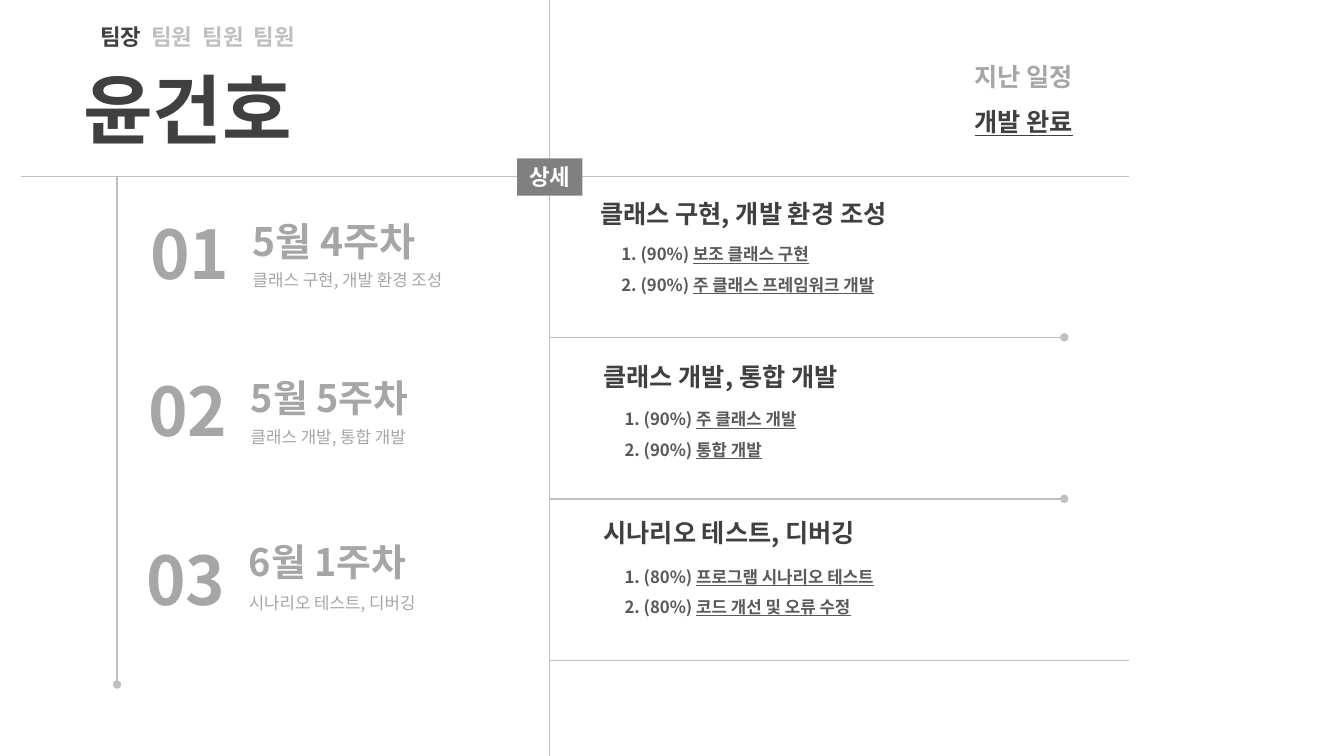
import pptx
import pptx.util
import pptx.dml.color
import pptx.enum.shapes
import pptx.enum.text
import lxml.etree

Cm, Pt = pptx.util.Cm, pptx.util.Pt
ALIGN = pptx.enum.text.PP_ALIGN
MIDDLE = pptx.enum.text.MSO_ANCHOR.MIDDLE
FACE = "Noto Sans CJK KR"
DARK, TEXT, MID, PALE = "404040", "595959", "A6A6A6", "BFBFBF"

WEEKS = [
    ("01", "5월 4주차", 28, "클래스 구현, 개발 환경 조성", 3.45, 5.23, 5.36, 6.68),
    ("02", "5월 5주차", 27, "클래스 개발, 통합 개발", 3.4, 9.19, 9.32, 10.64),
    ("03", "6월 1주차", 27, "시나리오 테스트, 디버깅", 3.35, 13.44, 13.46, 14.81),
]
TASKS = [
    (14.83, 4.88, 5.77, "90%", ["보조 클래스 구현", "주 클래스 프레임워크 개발"]),
    (14.91, 8.97, 9.93, "90%", ["주 클래스 개발", "통합 개발"]),
    (14.91, 12.9, 13.89, "80%", ["프로그램 시나리오 테스트", "코드 개선 및 오류 수정"]),
]


def paint(fill, color):
    """Make a fill one solid colour."""
    fill.solid()
    fill.fore_color.rgb = pptx.dml.color.RGBColor.from_string(color)


def style(para, size, color, bold=True, face=FACE):
    """Set the paragraph font for Latin and Korean text."""
    font = para.font
    font.size, font.bold, font.name = Pt(size), bold, face
    paint(font.fill, color)
    base = para._p.pPr.find(pptx.oxml.ns.qn("a:defRPr"))
    lxml.etree.SubElement(base, pptx.oxml.ns.qn("a:ea"), typeface=face)


def add_text(slide, box, lines, size, color, bold=True, pad=0.25,
             align=None, anchor=None, space=None):
    """Add a text box; a line is a list of (text, colour, underline) runs."""
    frame = slide.shapes.add_textbox(*map(Cm, box)).text_frame
    frame.word_wrap = True
    frame.margin_left = frame.margin_right = Cm(pad)
    if anchor is not None:
        frame.vertical_anchor = anchor
    for row, line in enumerate(lines):
        para = frame.add_paragraph() if row else frame.paragraphs[0]
        para.alignment, para.line_spacing = align, space
        style(para, size, color, bold)
        for text, tint, under in line:
            run = para.add_run()
            run.text = text
            if tint:
                paint(run.font.fill, tint)
            if under:
                run.font.underline = True


def add_label(slide, box, text, size, color, **more):
    """Add a text box with one plain line."""
    add_text(slide, box, [[(text, None, False)]], size, color, **more)


def add_rule(slide, x1, y1, x2, y2, dot=False):
    """Add a thin straight line, with a round end if asked."""
    kind = pptx.enum.shapes.MSO_CONNECTOR.STRAIGHT
    rule = slide.shapes.add_connector(kind, *map(Cm, (x1, y1, x2, y2)))
    paint(rule.line.fill, PALE)
    rule.line.width = Pt(1)
    qn = pptx.oxml.ns.qn
    if dot:
        line = rule._element.spPr.find(qn("a:ln"))
        lxml.etree.SubElement(line, qn("a:tailEnd"), type="oval")
    lxml.etree.SubElement(rule._element.spPr, qn("a:effectLst"))


def add_badge(slide, box, text):
    """Add a filled label with white centred text."""
    kind = pptx.enum.shapes.MSO_SHAPE.RECTANGLE
    badge = slide.shapes.add_shape(kind, *map(Cm, box))
    badge.shadow.inherit = False
    paint(badge.fill, "808080")
    badge.line.fill.background()
    frame = badge.text_frame
    frame.margin_left = frame.margin_right = 0
    frame.vertical_anchor = MIDDLE
    para = frame.paragraphs[0]
    para.text, para.alignment = text, ALIGN.CENTER
    style(para, 16, "FFFFFF", face="Arial")


def add_week(slide, week):
    """Add the number, date and topic of one week."""
    num, date, size, topic, x, top, mid, low = week
    add_label(slide, (x + 2.67, low, 7.26, 0.76), topic, 12, MID, bold=False)
    add_label(slide, (x + 2.62, mid, 7.26, 1.45), date, size, MID, pad=0.3)
    add_label(slide, (x, top, 2.67, 2.31), num, 48, MID, pad=0.3,
              align=ALIGN.CENTER)


def add_tasks(slide, topic, task):
    """Add the heading and numbered jobs of one week."""
    x, top, low, done, jobs = task
    add_label(slide, (x, top, 12.52, 1.02), topic, 18, DARK, pad=0.3)
    lines = [[(f"{num}. ({done}) ", None, False), (job, None, True)]
             for num, job in enumerate(jobs, 1)]
    add_text(slide, (x + 0.58, low, 12.52, 1.7), lines, 12, TEXT, space=1.5)


def main():
    """Build the slide and save it."""
    deck = pptx.Presentation()
    deck.slide_width, deck.slide_height = Cm(33.87), Cm(19.05)
    slide = deck.slides.add_slide(deck.slide_layouts[6])

    add_rule(slide, 0.53, 4.45, 28.45, 4.45)
    add_rule(slide, 13.85, 0, 13.85, 19.05)
    add_rule(slide, 2.95, 4.45, 2.95, 17.25, dot=True)
    for y, end, dot in [(8.5, 26.82, True), (12.57, 26.82, True),
                        (16.64, 28.45, False)]:
        add_rule(slide, 13.87, y, end, y, dot)
    add_badge(slide, (13.03, 3.99, 1.65, 0.94), "상세")

    add_label(slide, (1.85, 1.45, 7.34, 2.57), "윤건호", 54, DARK,
              anchor=MIDDLE)
    roles = [("팀장  ", None, False), ("팀원  팀원  팀원", PALE, False)]
    add_text(slide, (1.68, 0.46, 6.6, 0.94), [roles], 16, DARK,
             align=ALIGN.CENTER, anchor=MIDDLE)
    state = [[("지난 일정", MID, False)], [("개발 완료", None, True)]]
    add_text(slide, (24.26, 1.04, 3.58, 2.41), state, 18, DARK, pad=0.3,
             space=1.5)

    for week, task in zip(WEEKS, TASKS):
        add_week(slide, week)
        add_tasks(slide, week[3], task)
    deck.save("out.pptx")


if __name__ == "__main__":
    main()
